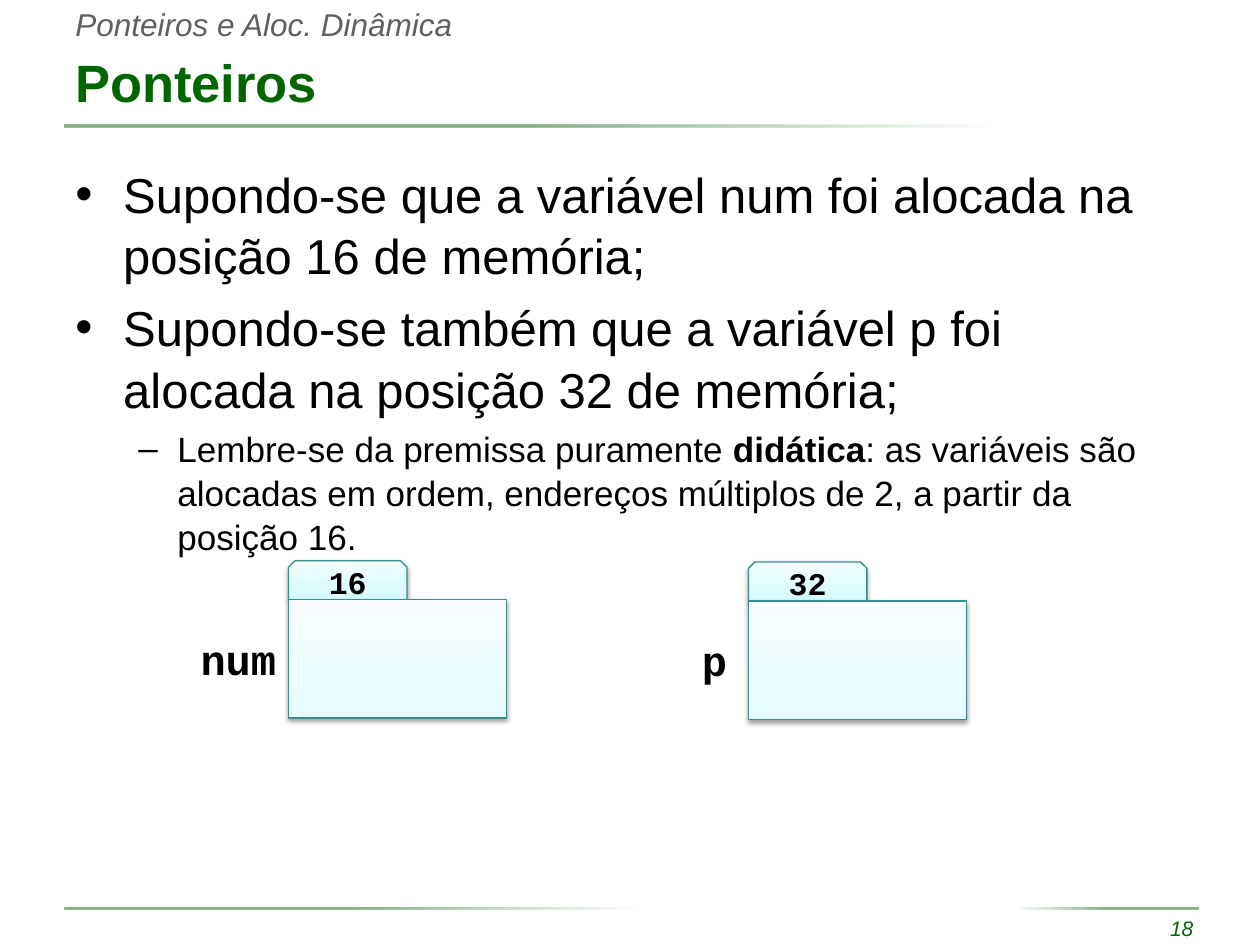
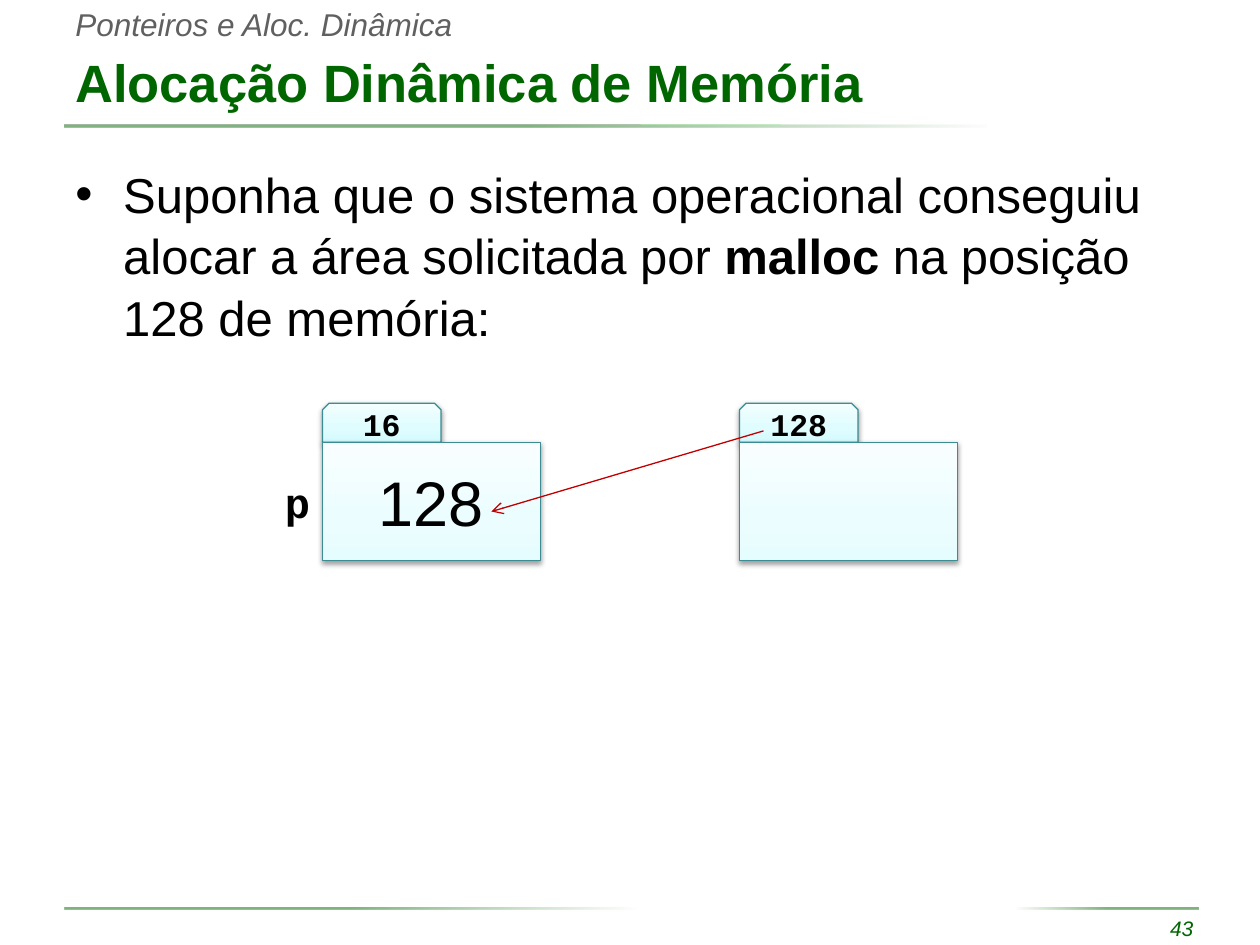
from dataclasses import dataclass

from lxml.etree import SubElement
from pptx import Presentation
from pptx.dml.color import RGBColor
from pptx.enum.shapes import MSO_CONNECTOR as Connector, MSO_SHAPE as Shape
from pptx.enum.text import MSO_ANCHOR as Anchor, MSO_AUTO_SIZE as AutoSize, PP_ALIGN as Align
from pptx.oxml.ns import qn
from pptx.util import Inches, Pt


@dataclass(frozen=True)
class Theme:
    sans: str = "Arial"
    mono: str = "Courier New"
    green: str = "006600"
    grey: str = "606060"
    black: str = "000000"
    outline: str = "3C8C93"
    arrow: str = "C00000"
    tab_stops: tuple = ((0, "D3FBFF"), (35, "DFFCFF"), (100, "F2FEFF"))
    body_stops: tuple = ((0, "E6FDFF"), (35, "ECFDFF"), (100, "F8FEFF"))
    title_size: int = 30
    course_size: int = 18
    page_size: int = 12
    address_size: int = 18
    name_size: int = 24
    value_size: int = 36
    levels: tuple = (("•", 28, 0.38, 0.38), ("–", 20, 0.81, 0.31))


def inches(*lengths):
    return [Inches(length) for length in lengths]


class Deck:
    course = "Ponteiros e Aloc. Dinâmica"

    def __init__(self, theme):
        self.theme = theme
        self.presentation = Presentation()
        self.presentation.slide_width, self.presentation.slide_height = inches(10, 7.5)
        self.slide = None

    def new_slide(self, title, page):
        theme = self.theme
        self.slide = self.presentation.slides.add_slide(self.presentation.slide_layouts[6])
        self.text((7.76, 7.22, 1.81, 0.3), str(page), align=Align.RIGHT,
                  size=theme.page_size, color=theme.green, italic=True)
        self.rule(0.51, 0.99, 7.32, "FCFCFC")
        self.rule(0.51, 7.2, 4.54)
        self.rule(8.06, 7.2, 1.45, angle=180)
        self.text((0.5, -0.01, 3.22, 0.4), self.course, wrap=False,
                  size=theme.course_size, color=theme.grey, italic=True)
        self.text((0.5, 0.3, 9, 0.69), title, grow=False, anchor=Anchor.MIDDLE,
                  size=theme.title_size, color=theme.green, bold=True)

    def style(self, run, color=None, **formats):
        formats.setdefault("name", self.theme.sans)
        formats["size"] = Pt(formats["size"])
        for attribute, value in formats.items():
            setattr(run.font, attribute, value)
        run.font.color.rgb = RGBColor.from_string(color or self.theme.black)

    def add_words(self, paragraph, words, align=Align.LEFT, **formats):
        paragraph.alignment = align
        run = paragraph.add_run()
        run.text = words
        self.style(run, **formats)

    def box(self, place, wrap=True, grow=True, anchor=Anchor.TOP):
        frame = self.slide.shapes.add_textbox(*inches(*place)).text_frame
        frame.word_wrap = wrap
        frame.auto_size = AutoSize.SHAPE_TO_FIT_TEXT if grow else AutoSize.NONE
        frame.vertical_anchor = anchor
        return frame

    def text(self, place, words, wrap=True, grow=True, anchor=Anchor.TOP, **formats):
        self.add_words(self.box(place, wrap, grow, anchor).paragraphs[0], words, **formats)

    def bullets(self, height, items):
        frame = self.box((0.5, 1.23, 9, height), grow=False)
        for index, (level, parts) in enumerate(items):
            paragraph = frame.add_paragraph() if index else frame.paragraphs[0]
            mark, size, margin, hang = self.theme.levels[level]
            paragraph.level = level
            paragraph.line_spacing = 1.05
            paragraph.space_before = Pt(size * 0.2)
            for position, words in enumerate(parts):
                self.add_words(paragraph, words, size=size, bold=position % 2 == 1)
            properties = paragraph._p.get_or_add_pPr()
            properties.set("marL", str(Inches(margin)))
            properties.set("indent", str(-Inches(hang)))
            SubElement(properties, qn("a:buFont"), typeface=self.theme.sans)
            SubElement(properties, qn("a:buChar"), char=mark)

    def gradient(self, shape, stops, angle, opacity=100):
        shape.fill.gradient()
        gradient = shape._element.spPr.find(qn("a:gradFill"))
        for child in list(gradient):
            gradient.remove(child)
        stop_list = SubElement(gradient, qn("a:gsLst"))
        for position, color in stops:
            stop = SubElement(stop_list, qn("a:gs"), pos=str(position * 1000))
            tint = SubElement(stop, qn("a:srgbClr"), val=color)
            if opacity < 100:
                SubElement(tint, qn("a:alpha"), val=str(opacity * 1000))
        SubElement(gradient, qn("a:lin"), ang=str(angle * 60000), scaled="0")

    def rule(self, left, top, width, fade="FFFFFF", angle=0):
        band = self.slide.shapes.add_shape(Shape.RECTANGLE, *inches(left, top, width, 0.02))
        band.shadow.inherit = False
        band.line.fill.background()
        green = self.theme.green
        self.gradient(band, ((0, green), (50, green), (100, fade)), angle, opacity=50)

    def panel(self, kind, place, stops, words, **formats):
        panel = self.slide.shapes.add_shape(kind, *inches(*place))
        self.gradient(panel, stops, 270)
        panel.line.color.rgb = RGBColor.from_string(self.theme.outline)
        panel.line.width = Pt(0.75)
        panel.shadow.inherit = False
        effects = panel._element.spPr.find(qn("a:effectLst"))
        shadow = SubElement(effects, qn("a:outerShdw"), blurRad=str(Pt(3.1)),
                            dist=str(Pt(1.6)), dir=str(90 * 60000), rotWithShape="0")
        tint = SubElement(shadow, qn("a:srgbClr"), val=self.theme.black)
        SubElement(tint, qn("a:alpha"), val="38000")
        if words:
            panel.text_frame.vertical_anchor = Anchor.MIDDLE
            self.add_words(panel.text_frame.paragraphs[0], words, align=Align.CENTER, **formats)

    def variable(self, left, top, address, name="", value="", name_width=0.4, name_gap=0):
        theme = self.theme
        self.panel(Shape.SNIP_2_SAME_RECTANGLE, (left, top, 0.94, 0.31), theme.tab_stops,
                   address, name=theme.mono, size=theme.address_size, bold=True)
        self.panel(Shape.RECTANGLE, (left, top + 0.31, 1.73, 0.94), theme.body_stops,
                   value, size=theme.value_size)
        if name:
            self.text((left - name_gap - name_width, top + 0.53, name_width, 0.5), name,
                      wrap=False, align=Align.RIGHT, name=theme.mono,
                      size=theme.name_size, bold=True)

    def arrow(self, start, end):
        arrow = self.slide.shapes.add_connector(Connector.STRAIGHT, *inches(*start, *end))
        arrow.line.color.rgb = RGBColor.from_string(self.theme.arrow)
        arrow.line.width = Pt(0.75)
        properties = arrow._element.spPr
        SubElement(properties.find(qn("a:ln")), qn("a:tailEnd"), type="arrow")
        SubElement(properties, qn("a:effectLst"))


def main():
    deck = Deck(Theme())

    deck.new_slide("Ponteiros", 18)
    deck.bullets(5.9, [
        (0, ["Supondo-se que a variável num foi alocada na posição 16 de memória;"]),
        (0, ["Supondo-se também que a variável p foi alocada na posição 32 de memória;"]),
        (1, ["Lembre-se da premissa puramente ", "didática",
             ": as variáveis são alocadas em ordem, endereços múltiplos de 2, "
             "a partir da posição 16."]),
    ])
    deck.variable(2.29, 4.45, "16", "num", name_width=0.81)
    deck.variable(5.94, 4.46, "32", "p", name_gap=0.07)

    deck.new_slide("Alocação Dinâmica de Memória", 43)
    deck.bullets(1.52, [
        (0, ["Suponha que o sistema operacional conseguiu alocar a área solicitada por ",
             "malloc", " na posição 128 de memória:"]),
    ])
    deck.variable(2.56, 3.2, "16", "p", "128")
    deck.variable(5.87, 3.2, "128")
    deck.arrow((6.06, 3.42), (3.9, 4.06))

    deck.presentation.save("out.pptx")


if __name__ == "__main__":
    main()
